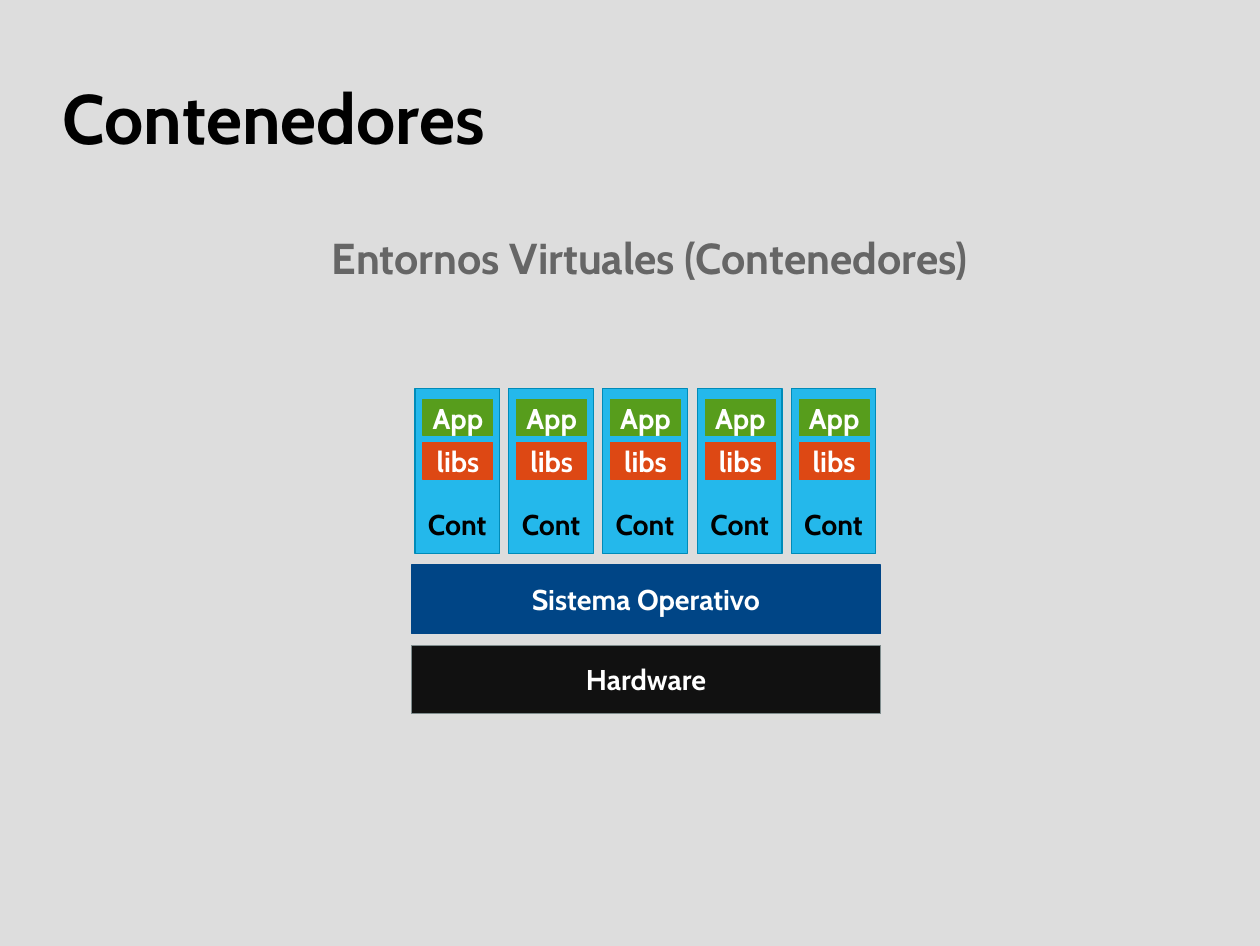
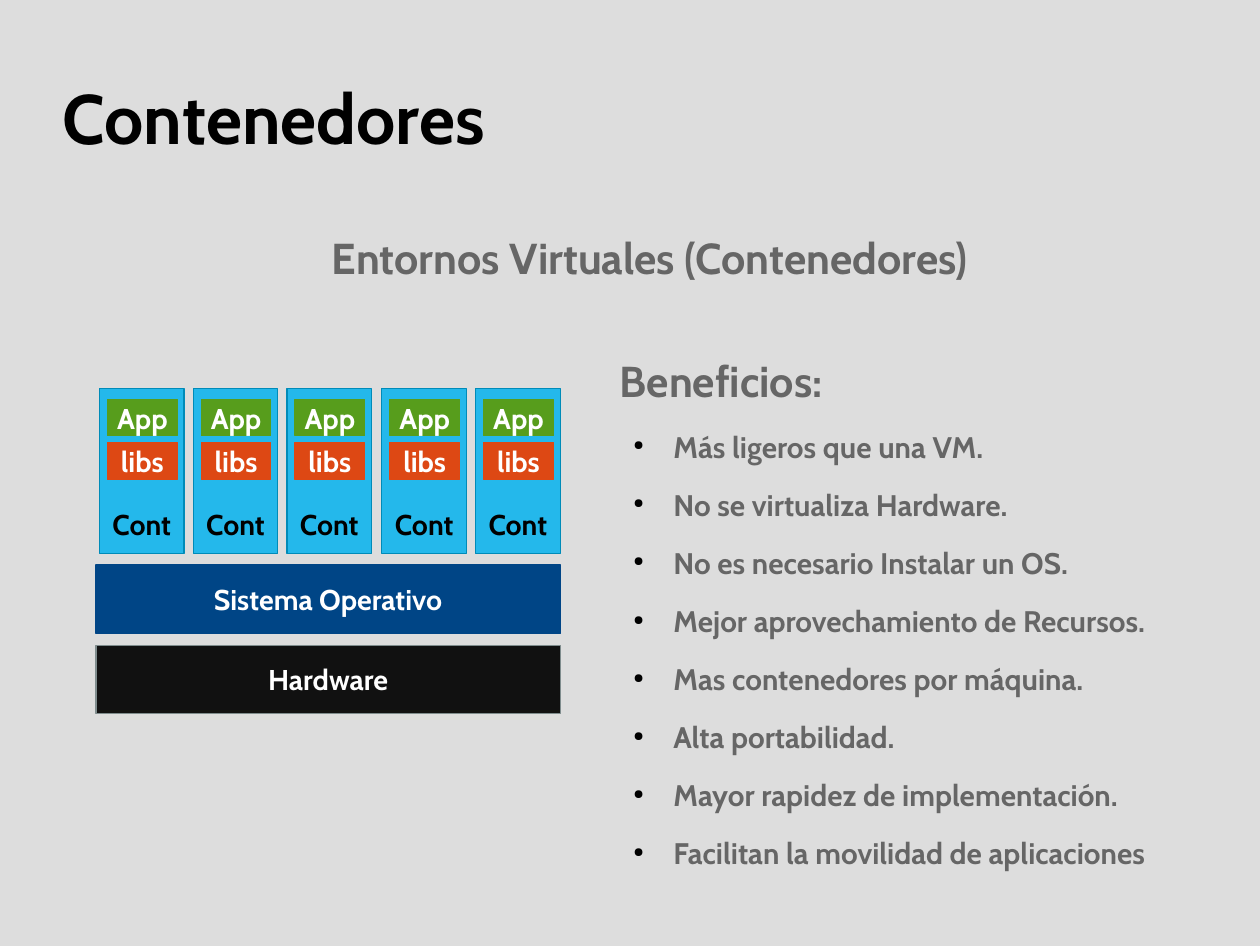
from dataclasses import dataclass

from lxml import etree
from pptx import Presentation
from pptx.dml.color import RGBColor
from pptx.enum.shapes import MSO_SHAPE
from pptx.enum.text import MSO_ANCHOR, PP_ALIGN
from pptx.oxml.ns import qn
from pptx.util import Pt

RECTANGLE = MSO_SHAPE.RECTANGLE
TOP, MIDDLE, BOTTOM = MSO_ANCHOR.TOP, MSO_ANCHOR.MIDDLE, MSO_ANCHOR.BOTTOM
LEFT, CENTER = PP_ALIGN.LEFT, PP_ALIGN.CENTER

EMU_PER_PX = 9144  # 100 px to the inch
SLIDE_WIDTH, SLIDE_HEIGHT = 1102, 827


def px(length):
    return length * EMU_PER_PX


@dataclass(frozen=True)
class Theme:
    font: str = "Cabin"
    background: str = "DDDDDD"
    ink: str = "000000"
    muted: str = "666666"
    light: str = "FFFFFF"
    hardware: str = "111111"
    hardware_edge: str = "7F8C8D"
    system: str = "004586"
    container: str = "24B8EB"
    container_edge: str = "008BB8"
    libs: str = "DD4814"
    app: str = "579D1C"
    title_size: float = 44
    heading_size: float = 27.2
    bullet_size: float = 18.7
    label_size: float = 18
    space_after: float = 14.1
    bullet_percent: int = 45


class Deck:
    def __init__(self, theme):
        self.theme = theme
        self.prs = Presentation()
        self.prs.slide_width = px(SLIDE_WIDTH)
        self.prs.slide_height = px(SLIDE_HEIGHT)
        fill = self.prs.slide_master.background.fill
        fill.solid()
        fill.fore_color.rgb = RGBColor.from_string(theme.background)
        self.slide = None

    def new_slide(self, title, subtitle):
        self.slide = self.prs.slides.add_slide(self.prs.slide_layouts[6])
        theme = self.theme
        title_frame = self.text_frame(55, 33, 992, 138, MIDDLE)
        self.add_text(title_frame.paragraphs[0], title, theme.title_size, theme.ink)
        subtitle_frame = self.text_frame(230, 202, 677, 62)
        self.add_text(subtitle_frame.paragraphs[0], subtitle, theme.heading_size,
                      theme.muted, CENTER)

    def text_frame(self, left, top, width, height, anchor=TOP):
        box = self.slide.shapes.add_textbox(px(left), px(top), px(width), px(height))
        frame = box.text_frame
        frame.word_wrap = True
        frame.vertical_anchor = anchor
        frame.margin_left = frame.margin_right = 0
        frame.margin_top = frame.margin_bottom = 0
        return frame

    def add_text(self, paragraph, text, size, color, align=LEFT):
        paragraph.alignment = align
        run = paragraph.add_run()
        run.text = text
        run.font.name = self.theme.font
        run.font.size = Pt(size)
        run.font.bold = True
        run.font.color.rgb = RGBColor.from_string(color)

    def block(self, shapes, text, left, top, width, height, fill, edge=None,
              color=None, anchor=MIDDLE):
        """Add a labelled rectangle to a slide's or a group's shapes."""
        shape = shapes.add_shape(RECTANGLE, px(left), px(top), px(width), px(height))
        shape.shadow.inherit = False
        shape.fill.solid()
        shape.fill.fore_color.rgb = RGBColor.from_string(fill)
        shape.line.color.rgb = RGBColor.from_string(edge or fill)
        shape.line.width = 0
        frame = shape.text_frame
        frame.word_wrap = False
        frame.vertical_anchor = anchor
        frame.margin_left = frame.margin_right = px(10)
        frame.margin_top = px(5)
        frame.margin_bottom = px(11 if anchor == BOTTOM else 5)
        self.add_text(frame.paragraphs[0], text, self.theme.label_size,
                      color or self.theme.light, CENTER)

    def container(self, left, top):
        theme = self.theme
        shapes = self.slide.shapes.add_group_shape().shapes
        self.block(shapes, "Cont", left, top, 74, 144, theme.container,
                   theme.container_edge, theme.ink, BOTTOM)
        self.block(shapes, "libs", left + 7, top + 47, 61, 32, theme.libs)
        self.block(shapes, "App", left + 7, top + 9, 61, 32, theme.app)

    def container_stack(self, left, width, count=5):
        """Draw the hardware and system layers with containers on top."""
        theme, shapes = self.theme, self.slide.shapes
        self.block(shapes, "Hardware", left, 564, width, 60, theme.hardware,
                   theme.hardware_edge)
        self.block(shapes, "Sistema Operativo", left, 494, width, 60, theme.system)
        first_to_last = 329
        for index in range(count):
            offset = round(index * first_to_last / (count - 1))
            self.container(left + 3 + offset, 340)

    def add_bullet(self, paragraph):
        properties = paragraph._p.get_or_add_pPr()
        properties.set("marL", str(px(47)))
        properties.set("indent", str(px(-35)))
        color = etree.SubElement(properties, qn("a:buClr"))
        etree.SubElement(color, qn("a:srgbClr"), val=self.theme.ink)
        etree.SubElement(properties, qn("a:buSzPct"),
                         val=str(self.theme.bullet_percent * 1000))
        etree.SubElement(properties, qn("a:buChar"), char="●")

    def bullet_list(self, heading, items, left, top, width, height):
        theme = self.theme
        frame = self.text_frame(left, top, width, height)
        first = frame.paragraphs[0]
        self.add_text(first, heading, theme.heading_size, theme.muted)
        first.space_after = Pt(theme.space_after)
        for item in items:
            paragraph = frame.add_paragraph()
            self.add_bullet(paragraph)
            paragraph.space_after = Pt(theme.space_after)
            self.add_text(paragraph, item, theme.bullet_size, theme.muted)


TITLE = "Contenedores"
SUBTITLE = "Entornos Virtuales (Contenedores)"
BENEFITS = [
    "Más ligeros que una VM.",
    "No se virtualiza Hardware.",
    "No es necesario Instalar un OS.",
    "Mejor aprovechamiento de Recursos.",
    "Mas contenedores por máquina.",
    "Alta portabilidad.",
    "Mayor rapidez de implementación.",
    "Facilitan la movilidad de aplicaciones",
]


def main():
    deck = Deck(Theme())

    deck.new_slide(TITLE, SUBTITLE)
    deck.container_stack(360, 410)

    deck.new_slide(TITLE, SUBTITLE)
    deck.container_stack(84, 406)
    deck.bullet_list("Beneficios:", BENEFITS, 542, 310, 515, 350)

    deck.prs.save("out.pptx")


if __name__ == "__main__":
    main()
